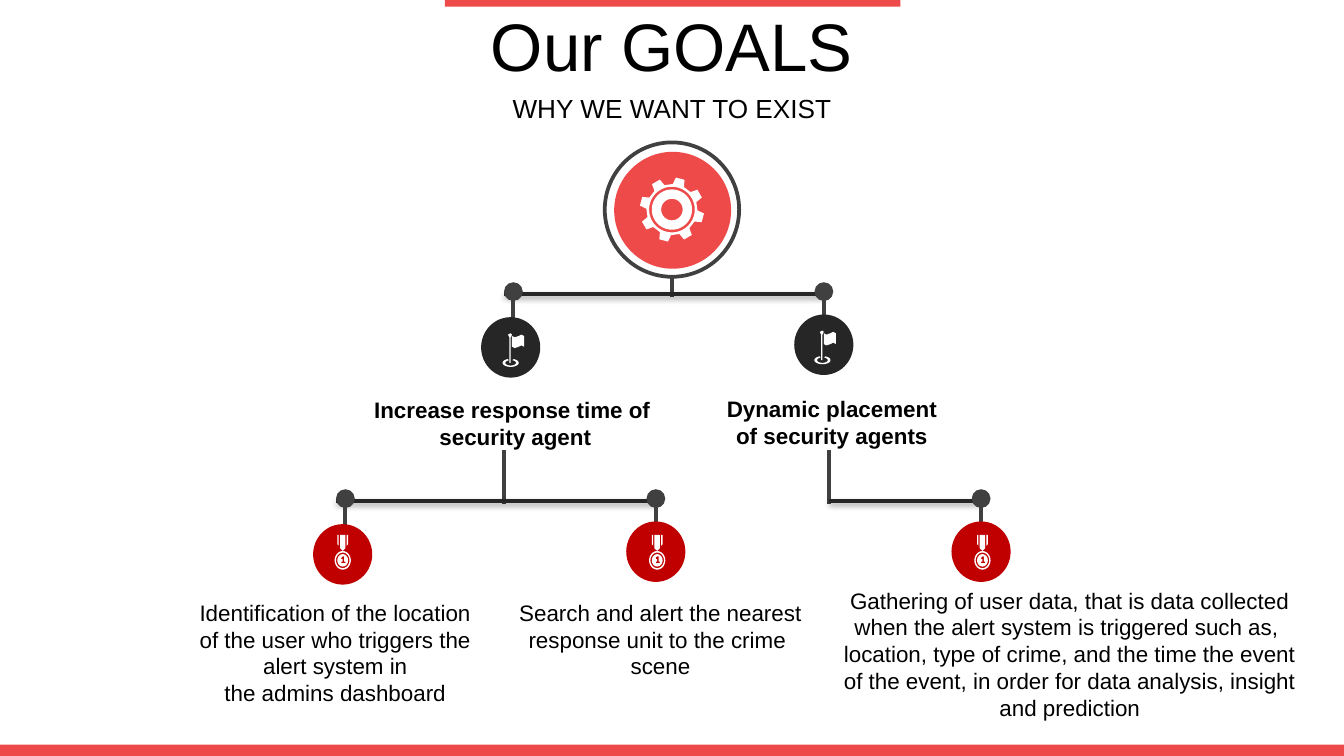
from dataclasses import dataclass
from math import cos, radians, sin

from lxml.etree import SubElement
from pptx import Presentation
from pptx.dml.color import RGBColor
from pptx.enum.shapes import MSO_CONNECTOR, MSO_SHAPE
from pptx.enum.text import MSO_ANCHOR, MSO_AUTO_SIZE, PP_ALIGN
from pptx.oxml.ns import qn
from pptx.util import Inches, Pt


@dataclass(frozen=True)
class Theme:
    """Colours, font and type sizes of the slide."""
    accent: RGBColor = RGBColor(0xEF, 0x4A, 0x4A)
    task: RGBColor = RGBColor(0xC0, 0x00, 0x00)
    goal: RGBColor = RGBColor(0x26, 0x26, 0x26)
    stem: RGBColor = RGBColor(0x40, 0x40, 0x40)
    white: RGBColor = RGBColor(0xFF, 0xFF, 0xFF)
    text: RGBColor = RGBColor(0x00, 0x00, 0x00)
    font: str = "Arial"
    title_size: int = 36
    subtitle_size: int = 14
    body_size: int = 12
    line_width: int = 2


THEME = Theme()


def add_filled(slide, kind, box, fill, outline=None):
    """Add a preset shape with a plain fill and an optional outline."""
    shape = slide.shapes.add_shape(kind, *map(Inches, box))
    shape.shadow.inherit = False
    shape.fill.solid()
    shape.fill.fore_color.rgb = fill
    if outline is None:
        shape.line.fill.background()
    else:
        shape.line.color.rgb = outline
        shape.line.width = Pt(THEME.line_width)


def add_line(slide, start, end, color, dot=False, shadow=False):
    """Add a straight line with an optional starting dot and soft shadow."""
    points = map(Inches, (*start, *end))
    connector = slide.shapes.add_connector(MSO_CONNECTOR.STRAIGHT, *points)
    connector.line.color.rgb = color
    connector.line.width = Pt(THEME.line_width)
    properties = connector._element.spPr
    if dot:
        outline = properties.find(qn("a:ln"))
        SubElement(outline, qn("a:headEnd"), type="oval", w="lg", len="lg")
    effects = SubElement(properties, qn("a:effectLst"))
    if shadow:
        outer = SubElement(effects, qn("a:outerShdw"), blurRad="40000",
                           dist="20000", dir="5400000", rotWithShape="0")
        color_element = SubElement(outer, qn("a:srgbClr"), val="000000")
        SubElement(color_element, qn("a:alpha"), val="38000")


def write(shape, lines, size, bold=False, fit=MSO_AUTO_SIZE.NONE):
    """Write centred paragraphs into a shape's text frame."""
    frame = shape.text_frame
    frame.word_wrap = True
    frame.auto_size = fit
    frame.vertical_anchor = MSO_ANCHOR.MIDDLE
    frame.text = "\n".join(lines)
    for paragraph in frame.paragraphs:
        paragraph.alignment = PP_ALIGN.CENTER
        paragraph.font.name = THEME.font
        paragraph.font.size = Pt(size)
        paragraph.font.bold = bold
        paragraph.font.color.rgb = THEME.text


def add_text(slide, box, lines, size=THEME.body_size, bold=False,
             fit=MSO_AUTO_SIZE.SHAPE_TO_FIT_TEXT):
    """Add a text box holding centred paragraphs."""
    write(slide.shapes.add_textbox(*map(Inches, box)), lines, size, bold, fit)


def arc(x, y, radius_x, radius_y, first=0, last=360, steps=40):
    """Return points along an elliptical arc."""
    angles = [radians(first + (last - first) * step / steps) for step in range(steps + 1)]
    return [(x + radius_x * cos(angle), y + radius_y * sin(angle)) for angle in angles]


def add_icon(slide, left, top, contours):
    """Add one white freeform made of closed contours relative to a corner."""
    placed = [[(Inches(left + x), Inches(top + y)) for x, y in contour] for contour in contours]
    builder = slide.shapes.build_freeform(*placed[0][0])
    for index, contour in enumerate(placed):
        if index:
            builder.move_to(*contour[0])
        builder.add_line_segments(contour[1:], close=True)
    shape = builder.convert_to_shape()
    shape.shadow.inherit = False
    shape.fill.solid()
    shape.fill.fore_color.rgb = THEME.white
    shape.line.fill.background()


def gear_contours():
    """Return an eight-toothed gear with a ring and a hub hole."""
    center, teeth = 0.24, 8
    outline = [
        (center + radius * cos(radians(angle)), center + radius * sin(radians(angle)))
        for tooth in range(teeth)
        for angle, radius in (
            (tooth * 360 / teeth - 75 + turn, radius)
            for turn, radius in ((-13, 0.19), (-8, 0.24), (8, 0.24), (13, 0.19))
        )
    ]
    return [outline] + [arc(center, center, radius, radius) for radius in (0.17, 0.15, 0.08)]


def flag_contours():
    """Return a waving flag on a pole with a ring around its foot."""
    base = arc(0.06, 0.22, 0.06, 0.03, -70, 250) + arc(0.06, 0.22, 0.04, 0.02, 250, -70)
    pole = [(0.05, 0.22), (0.05, 0.03), (0.04, 0.01), (0.06, 0),
            (0.07, 0.01), (0.06, 0.03), (0.06, 0.22)]
    cloth = [(0.07, 0.02), (0.09, 0.03), (0.12, 0.02), (0.14, 0.01), (0.16, 0.02),
             (0.16, 0.1), (0.14, 0.09), (0.12, 0.1), (0.09, 0.11), (0.07, 0.1)]
    return [base, pole, cloth]


def medal_contours():
    """Return a first-place medal hanging from a striped ribbon."""
    rings = [arc(0.06, 0.19, radius, radius * 1.15) for radius in (0.06, 0.05, 0.04)]
    numeral = [(0.07, 0.16), (0.06, 0.16), (0.05, 0.17), (0.05, 0.18), (0.06, 0.18),
               (0.06, 0.2), (0.05, 0.2), (0.05, 0.21), (0.08, 0.21), (0.08, 0.2),
               (0.07, 0.2)]
    ribbons = [
        [(0.02, 0), (0.03, 0), (0.03, 0.08), (0.02, 0.07)],
        [(0.04, 0), (0.08, 0), (0.08, 0.1), (0.06, 0.12), (0.04, 0.1)],
        [(0.09, 0), (0.1, 0), (0.1, 0.07), (0.09, 0.08)],
    ]
    return rings + [numeral] + ribbons


def add_header(slide, left, top, width):
    """Place the title and the subtitle."""
    title = slide.shapes.title
    title.left, title.top = Inches(left), Inches(top)
    title.width, title.height = Inches(width), Inches(0.63)
    write(title, ["Our GOALS"], THEME.title_size)
    add_text(slide, (left, top + 0.63, width, 0.31), ["WHY WE WANT TO EXIST"],
             THEME.subtitle_size, fit=MSO_AUTO_SIZE.NONE)


def add_root(slide, left, top):
    """Place the ringed gear at the head of the tree."""
    add_filled(slide, MSO_SHAPE.OVAL, (left, top, 1, 1), THEME.white, THEME.stem)
    add_filled(slide, MSO_SHAPE.OVAL, (left + 0.07, top + 0.07, 0.87, 0.87), THEME.accent)
    add_icon(slide, left + 0.26, top + 0.26, gear_contours())


def add_branch(slide, stem_x, top, rail):
    """Place a stem and the horizontal rail at its foot."""
    add_line(slide, (stem_x, top), (stem_x, top + 0.4), THEME.stem)
    add_line(slide, (rail[0], top + 0.38), (rail[1], top + 0.38), THEME.goal, shadow=True)


def add_node(slide, x, top, offset, fill, contours, icon_offset):
    """Place a dotted drop line, its round badge and the icon inside."""
    add_line(slide, (x, top), (x, top + 0.4), THEME.stem, dot=True)
    left, badge_top = x + offset[0], top + offset[1]
    add_filled(slide, MSO_SHAPE.OVAL, (left, badge_top, 0.44, 0.45), fill)
    add_icon(slide, left + icon_offset[0], top + icon_offset[1], contours)


def add_tree(slide):
    """Place the goals, their tasks and the branches between them."""
    near, far = (-0.22, 0.17), (-0.24, 0.19)
    for stem_x, top, rail in ((5, 1.81, (3.75, 6.13)), (3.75, 3.35, (2.5, 4.88)),
                              (6.17, 3.35, (6.17, 7.3))):
        add_branch(slide, stem_x, top, rail)
    add_root(slide, 4.5, 1.06)
    for x, offset, icon in ((3.82, far, (0.16, 0.31)), (6.13, near, (0.15, 0.29))):
        add_node(slide, x, 2.17, offset, THEME.goal, flag_contours(), icon)
    for x, offset, icon_left in ((2.57, far, 0.16), (4.88, near, 0.17), (7.3, near, 0.17)):
        add_node(slide, x, 3.71, offset, THEME.task, medal_contours(), (icon_left, 0.27))
    add_text(slide, (2.67, 2.9, 2.33, 0.5),
             ["Increase response time of ", "security agent"], bold=True)
    add_text(slide, (5.3, 2.89, 1.78, 0.5), ["Dynamic placement of security agents"], bold=True)
    add_text(slide, (1.33, 4.4, 2.33, 0.91), [
        "Identification of the location of the user who triggers the alert system in",
        "the admins dashboard"])
    add_text(slide, (3.75, 4.4, 2.33, 0.71), [
        "Search and alert the nearest response unit to the crime ", "scene"])
    add_text(slide, (6.17, 4.31, 3.58, 1.11), [
        "Gathering of user data, that is data collected when the alert system is "
        "triggered such as, ",
        "location, type of crime, and the time the event of the event, in order for "
        "data analysis, insight and prediction"])


def main():
    """Build and save the goals slide."""
    presentation = Presentation()
    presentation.slide_width = Inches(10)
    presentation.slide_height = Inches(10) * 9 // 16
    slide = presentation.slides.add_slide(presentation.slide_layouts[5])
    for box in ((3.31, 0, 3.39, 0.05), (0, 5.54, 10, 0.09)):
        add_filled(slide, MSO_SHAPE.RECTANGLE, box, THEME.accent)
    add_header(slide, 0, 0.02, 10)
    add_tree(slide)
    presentation.save("out.pptx")


if __name__ == "__main__":
    main()
